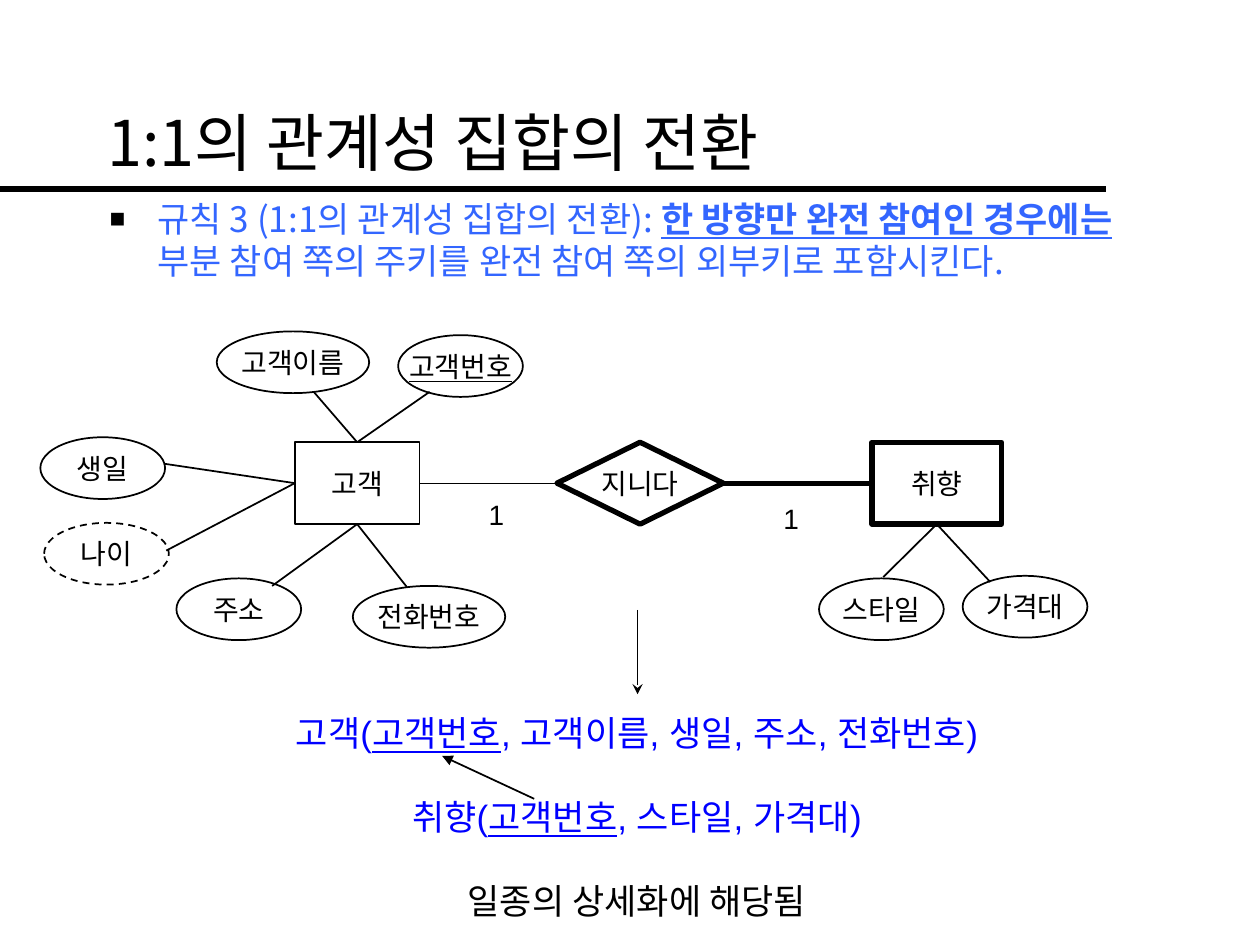
from lxml import etree
from pptx import Presentation
from pptx.dml.color import RGBColor
from pptx.enum import dml, shapes, text
from pptx.oxml.ns import qn
from pptx.util import Inches, Pt

COLORS = {"ink": "000000", "paper": "FFFFFF", "rule": "3366FF", "schema": "0000FF"}
KOREAN, LATIN = "Noto Sans CJK KR", "Arial"
TOP, LEFT, BOTTOM, RIGHT = range(4)

TITLE = "1:1의 관계성 집합의 전환"
# Runs are (wording, emphasised)
RULE = [("규칙 3 (1:1의 관계성 집합의 전환): ", False),
        ("한 방향만 완전 참여인 경우에는 ", True),
        ("부분 참여 쪽의 주키를 완전 참여 쪽의 외부키로 포함시킨다.", False)]
SCHEMA = [("schema", [("고객(", False), ("고객번호", True),
                      (", 고객이름, 생일, 주소, 전화번호)", False)]),
          ("schema", [("취향(", False), ("고객번호", True),
                      (", 스타일, 가격대)", False)]),
          ("ink", [("일종의 상세화에 해당됨", False)])]

# name: (preset, left, width, line width), all in one row
ROW_TOP, ROW_HEIGHT = 3.51, 0.65
NODES = {"고객": ("RECTANGLE", 2.34, 0.99, 1),
         "지니다": ("DIAMOND", 4.42, 1.32, 3),
         "취향": ("RECTANGLE", 6.92, 1.03, 3)}
RELATIONS = [("고객", "지니다", 0.75), ("지니다", "취향", 3)]
CARDINALITIES = [("1", 3.78, 3.9), ("1", 6.12, 3.93)]

# (name, left, top, width, owner, side of owner, point on the ellipse)
NARROW, WIDE, OVAL_HEIGHT = 0.99, 1.21, 0.49
ATTRIBUTES = [
    ("고객이름", 1.72, 2.63, WIDE, "고객", TOP, (2.49, 3.11)),
    ("고객번호", 3.16, 2.66, NARROW, "고객", TOP, (3.41, 3.11)),
    ("생일", 0.32, 3.47, NARROW, "고객", LEFT, (1.3, 3.68)),
    ("나이", 0.35, 4.15, NARROW, "고객", LEFT, (1.32, 4.37)),
    ("주소", 1.4, 4.59, NARROW, "고객", BOTTOM, (2.16, 4.65)),
    ("전화번호", 2.8, 4.65, WIDE, "고객", BOTTOM, (3.23, 4.66)),
    ("스타일", 6.5, 4.59, NARROW, "취향", BOTTOM, (7.01, 4.58)),
    ("가격대", 7.64, 4.57, NARROW, "취향", BOTTOM, (7.86, 4.62)),
]
KEYS, DERIVED = {"고객번호"}, {"나이"}


def rgb(name):
    return RGBColor.from_string(COLORS[name])


def style(run, size, color, latin=LATIN):
    run.font.size, run.font.name = Pt(size), latin
    run.font.color.rgb = rgb(color)
    etree.SubElement(run._r.get_or_add_rPr(), qn("a:ea"), typeface=KOREAN)


def add_runs(paragraph, runs, size, color, latin=LATIN, bold=False):
    for wording, emphasised in runs:
        run = paragraph.add_run()
        run.text = wording
        style(run, size, color, latin)
        run.font.underline = emphasised
        run.font.bold = bold and emphasised


def place(shape, left, top, width, height):
    shape.left, shape.top = Inches(left), Inches(top)
    shape.width, shape.height = Inches(width), Inches(height)


def add_line(slide, start, end, width=1, head=None):
    line = slide.shapes.add_connector(
        shapes.MSO_CONNECTOR.STRAIGHT, *map(Inches, (*start, *end)))
    line.line.color.rgb, line.line.width = rgb("ink"), Pt(width)
    if head:
        etree.SubElement(line.line._get_or_add_ln(), qn("a:tailEnd"), type=head)
    etree.SubElement(line._element.spPr, qn("a:effectLst"))
    return line


def add_node(slide, name, preset, left, top, width, height, weight):
    node = slide.shapes.add_shape(getattr(shapes.MSO_SHAPE, preset),
                                  *map(Inches, (left, top, width, height)))
    node.shadow.inherit = False
    node.fill.solid()
    node.fill.fore_color.rgb = rgb("paper")
    node.line.color.rgb, node.line.width = rgb("ink"), Pt(weight)
    if name in DERIVED:
        node.line.dash_style = dml.MSO_LINE.DASH
    frame = node.text_frame
    frame.word_wrap = False
    frame.vertical_anchor = text.MSO_ANCHOR.MIDDLE
    frame.paragraphs[0].alignment = text.PP_ALIGN.CENTER
    add_runs(frame.paragraphs[0], [(name, name in KEYS)], 16, "ink")
    return node


def add_heading(slide):
    add_line(slide, (0, 1.5), (8.78, 1.5), 4)
    title, body = slide.placeholders
    place(title, 0.75, 0.5, 8.5, 1.25)
    title.text_frame.vertical_anchor = text.MSO_ANCHOR.MIDDLE
    heading = title.text_frame.paragraphs[0]
    heading.alignment = text.PP_ALIGN.LEFT
    add_runs(heading, [(TITLE, False)], 36, "ink", KOREAN)

    place(body, 0.77, 1.52, 8.5, 4.5)
    body.text_frame.auto_size = text.MSO_AUTO_SIZE.NONE
    rule = body.text_frame.paragraphs[0]
    rule.space_before = Pt(0)
    indent = Inches(0.38)
    props = rule._p.get_or_add_pPr()
    props.set("marL", str(indent))
    props.set("indent", str(-indent))
    bullet_color = etree.SubElement(props, qn("a:buClr"))
    etree.SubElement(bullet_color, qn("a:srgbClr"), val=COLORS["ink"])
    etree.SubElement(props, qn("a:buSzPct"), val="75000")
    etree.SubElement(props, qn("a:buChar"), char="■")
    add_runs(rule, RULE, 20, "rule", KOREAN, bold=True)


def add_diagram(slide):
    nodes = {name: add_node(slide, name, preset, left, ROW_TOP, width, ROW_HEIGHT, weight)
             for name, (preset, left, width, weight) in NODES.items()}
    for source, target, weight in RELATIONS:
        relation = add_line(slide, (0, 0), (1, 1), weight)
        relation.begin_connect(nodes[source], RIGHT)
        relation.end_connect(nodes[target], LEFT)
    for name, left, top, width, owner, side, point in ATTRIBUTES:
        add_node(slide, name, "OVAL", left, top, width, OVAL_HEIGHT, 1)
        add_line(slide, point, point).end_connect(nodes[owner], side)
    for number, left, top in CARDINALITIES:
        label = slide.shapes.add_textbox(*map(Inches, (left, top, 0.33, 0.37)))
        add_runs(label.text_frame.paragraphs[0], [(number, False)], 16, "ink")


def add_schema(slide):
    add_line(slide, (5.06, 4.84), (5.06, 5.51), head="stealth")
    box = slide.shapes.add_textbox(*map(Inches, (1.88, 5.6, 6.35, 1.9)))
    frame = box.text_frame
    frame.word_wrap = False
    for index, (color, runs) in enumerate(SCHEMA):
        row = frame.add_paragraph() if index else frame.paragraphs[0]
        row.alignment = text.PP_ALIGN.CENTER
        row.space_before = Pt(24 if index else 0)
        add_runs(row, runs, 20, color)
    add_line(slide, (4.24, 6.34), (3.51, 6), head="triangle")


def main():
    deck = Presentation()
    deck.slide_width, deck.slide_height = Inches(10), Inches(7.5)
    slide = deck.slides.add_slide(deck.slide_layouts[1])
    add_heading(slide)
    add_diagram(slide)
    add_schema(slide)
    deck.save("out.pptx")


if __name__ == "__main__":
    main()
